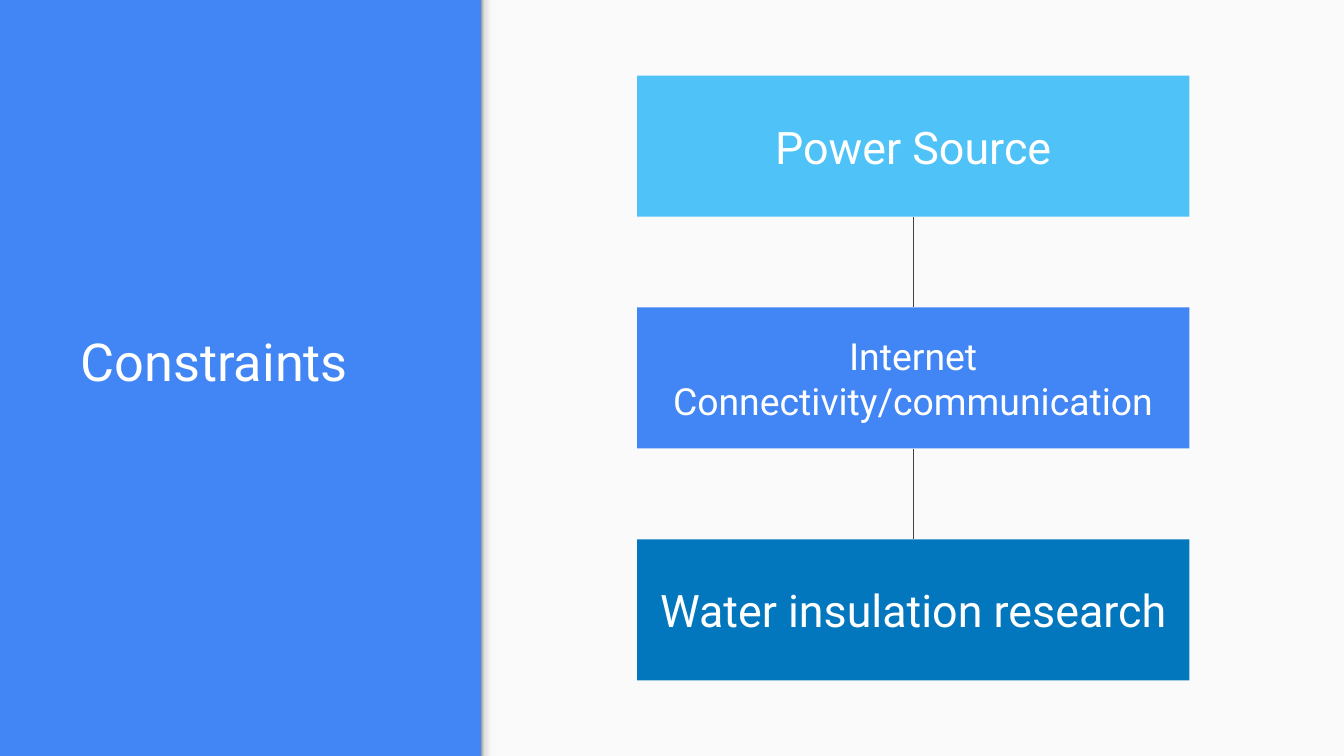
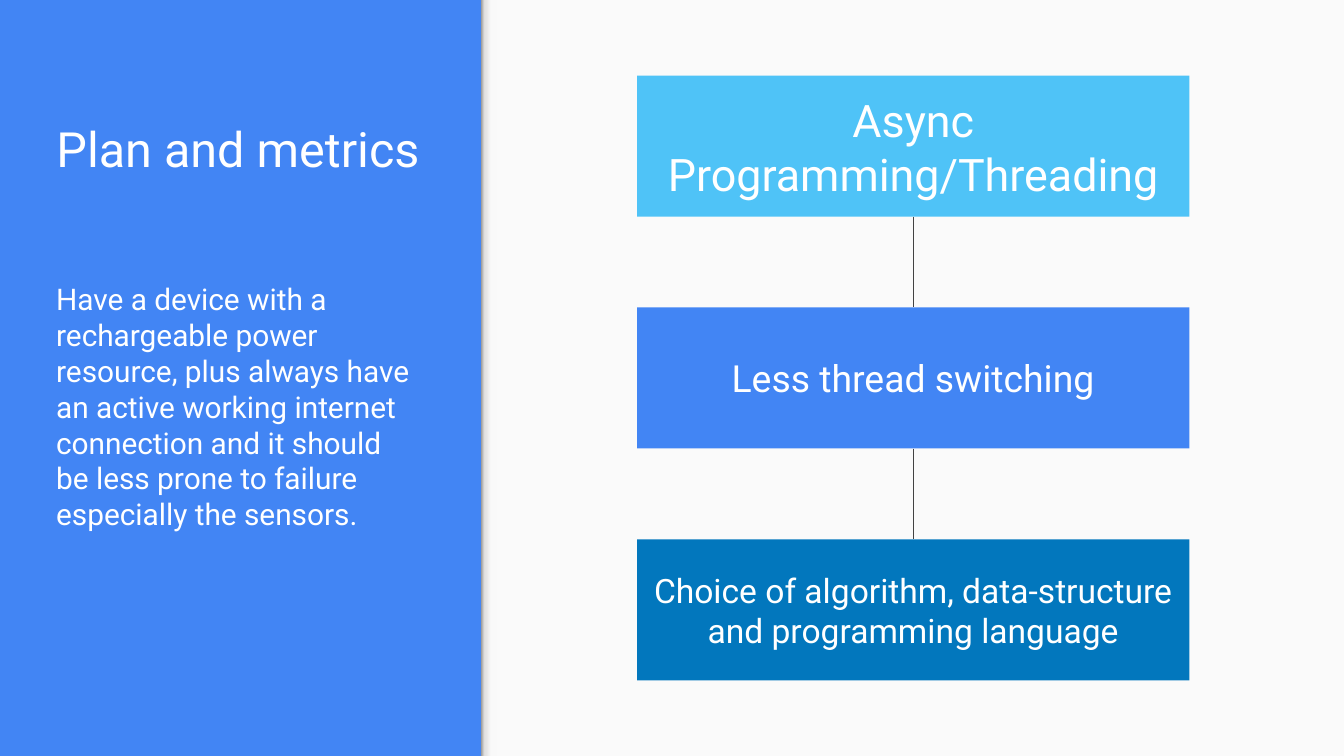
from copy import deepcopy

from pptx import Presentation
from pptx import util as u
from pptx.dml.color import RGBColor
from pptx.enum import shapes, text
from pptx.oxml.ns import qn
from lxml import etree

C = {"blue": "4285F4", "sky": "4FC3F7", "deep": "0277BD",
     "paper": "FAFAFA", "line": "424242", "white": "FFFFFF"}
FONT = "Roboto"
W = 10
H = W * 9 / 16
PANEL_X = 3.58
EDGE = [(0, "999999"), (20, "DEDEDE"), (64, "F9F9F9"), (100, "F9F9F9")]

# Three boxes, spread evenly in a column centred on the slide height
BOX_X, BOX_W, BOX_H, COLUMN_H = 4.74, 4.11, 1.05, 4.5
BOX_Y = (H - COLUMN_H) / 2
STEP = (COLUMN_H - BOX_H) / 2
BOX_FILLS = ["sky", "blue", "deep"]

SLIDES = [
    {"title": "Constraints", "at": (0.5, 2.39, 2.42, 0.63), "size": 28,
     "boxes": [("Power Source", 24),
               ("Internet Connectivity/communication", 20),
               ("Water insulation research", 24)]},
    {"title": "Plan and metrics", "at": (0.32, 0.75, 3.2, 0.67), "size": 26,
     "boxes": [("Async Programming/Threading", 24),
               ("Less thread switching", 20),
               ("Choice of algorithm, data-structure and programming language", 18)],
     "body": "Have a device with a rechargeable power resource, plus always have "
             "an active working internet connection and it should be less prone "
             "to failure especially the sensors."},
]


def write(sp, content, size=16, align="LEFT", anchor="TOP", fit="NONE"):
    tf = sp.text_frame
    tf.word_wrap = True
    tf.auto_size = text.MSO_AUTO_SIZE[fit]
    tf.vertical_anchor = text.MSO_ANCHOR[anchor]
    tf.margin_left = tf.margin_right = tf.margin_top = tf.margin_bottom = u.Inches(0.1)
    p = tf.paragraphs[0]
    p.alignment = text.PP_ALIGN[align]
    r = p.add_run()
    r.text = content
    r.font.name, r.font.size = FONT, u.Pt(size)
    r.font.color.rgb = RGBColor.from_string(C["white"])


def add_rect(s, x, y, w, h, fill=None):
    sp = s.shapes.add_shape(shapes.MSO_SHAPE.RECTANGLE, *map(u.Inches, (x, y, w, h)))
    sp.shadow.inherit = False
    sp.line.fill.background()
    if fill:
        sp.fill.solid()
        sp.fill.fore_color.rgb = RGBColor.from_string(C[fill])
    return sp


prs = Presentation()
prs.slide_width, prs.slide_height = u.Inches(W), u.Inches(H)

# Shared background
bg = prs.slide_master.background.fill
bg.solid()
bg.fore_color.rgb = RGBColor.from_string(C["blue"])

for data in SLIDES:
    s = prs.slides.add_slide(prs.slide_layouts[5])

    # Light panel with a shaded left edge
    add_rect(s, PANEL_X, 0, W - PANEL_X, H, "paper")
    edge = add_rect(s, PANEL_X, 0, 0.12, H)
    edge.fill.gradient()
    edge.fill.gradient_angle = 0
    stops = edge._element.spPr.find(qn("a:gradFill")).find(qn("a:gsLst"))
    blank = deepcopy(stops[0])
    for old in list(stops):
        stops.remove(old)
    for pos, color in EDGE:
        gs = deepcopy(blank)
        gs.set("pos", str(pos * 1000))
        gs.remove(gs[0])
        etree.SubElement(gs, qn("a:srgbClr")).set("val", color)
        stops.append(gs)

    # Title
    title = s.shapes.title
    title.left, title.top, title.width, title.height = map(u.Inches, data["at"])
    write(title, data["title"], size=data["size"], anchor="BOTTOM")

    # Column of boxes, each joined to the one above
    above = None
    for i, (label, size) in enumerate(data["boxes"]):
        sp = add_rect(s, BOX_X, BOX_Y + i * STEP, BOX_W, BOX_H, BOX_FILLS[i])
        write(sp, label, size=size, align="CENTER", anchor="MIDDLE")
        if above is not None:
            cx = s.shapes.add_connector(shapes.MSO_CONNECTOR.STRAIGHT, 0, 0, 0, 0)
            cx.begin_connect(above, 2)
            cx.end_connect(sp, 0)
            cx.line.color.rgb = RGBColor.from_string(C["line"])
            cx.line.width = u.Pt(0.75)
            etree.SubElement(cx._element.spPr, qn("a:effectLst"))
        above = sp

    # Body text under the title
    if "body" in data:
        tb = s.shapes.add_textbox(*map(u.Inches, (0.32, 1.99, 2.9, 2.09)))
        write(tb, data["body"], fit="SHAPE_TO_FIT_TEXT")

prs.save("out.pptx")
